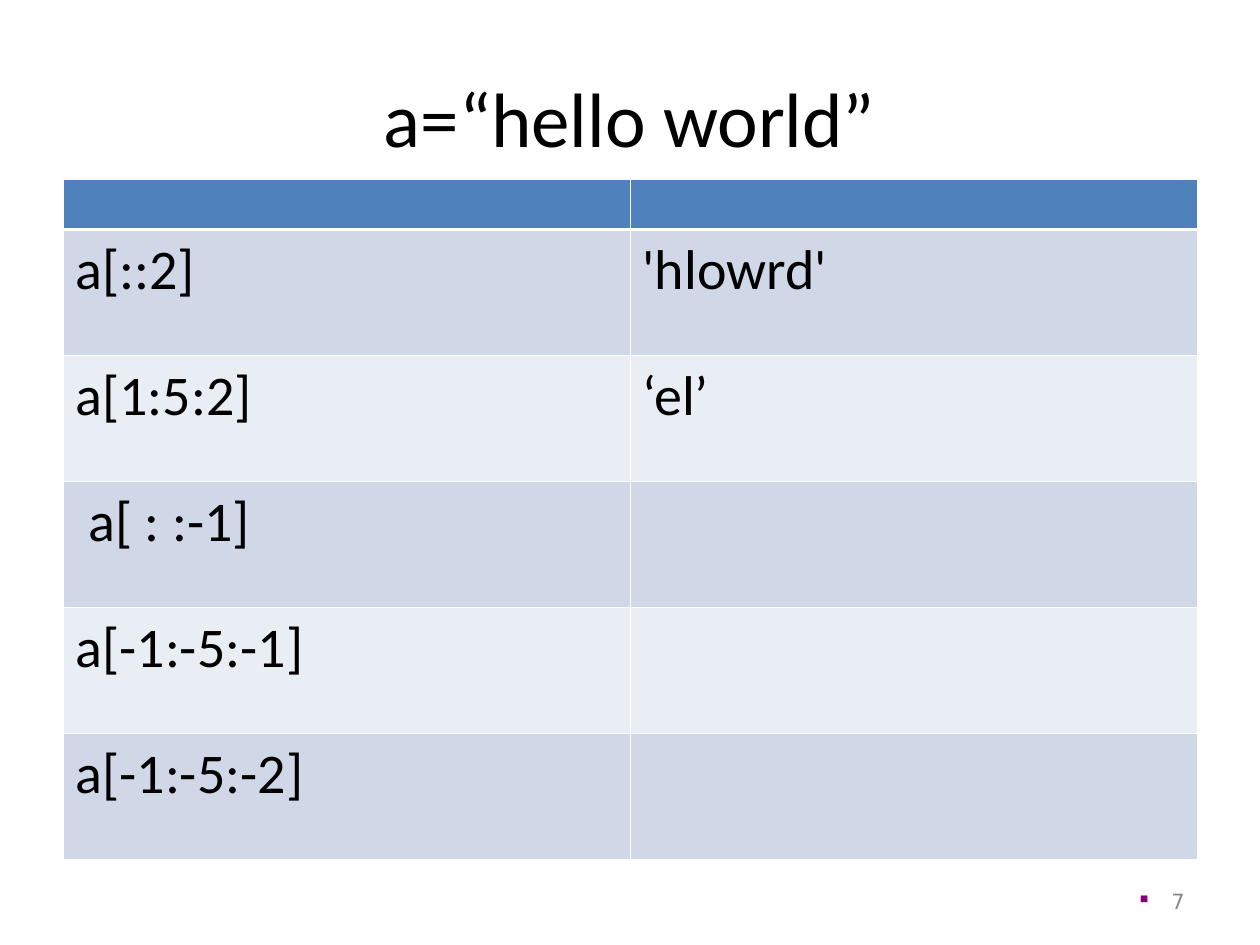
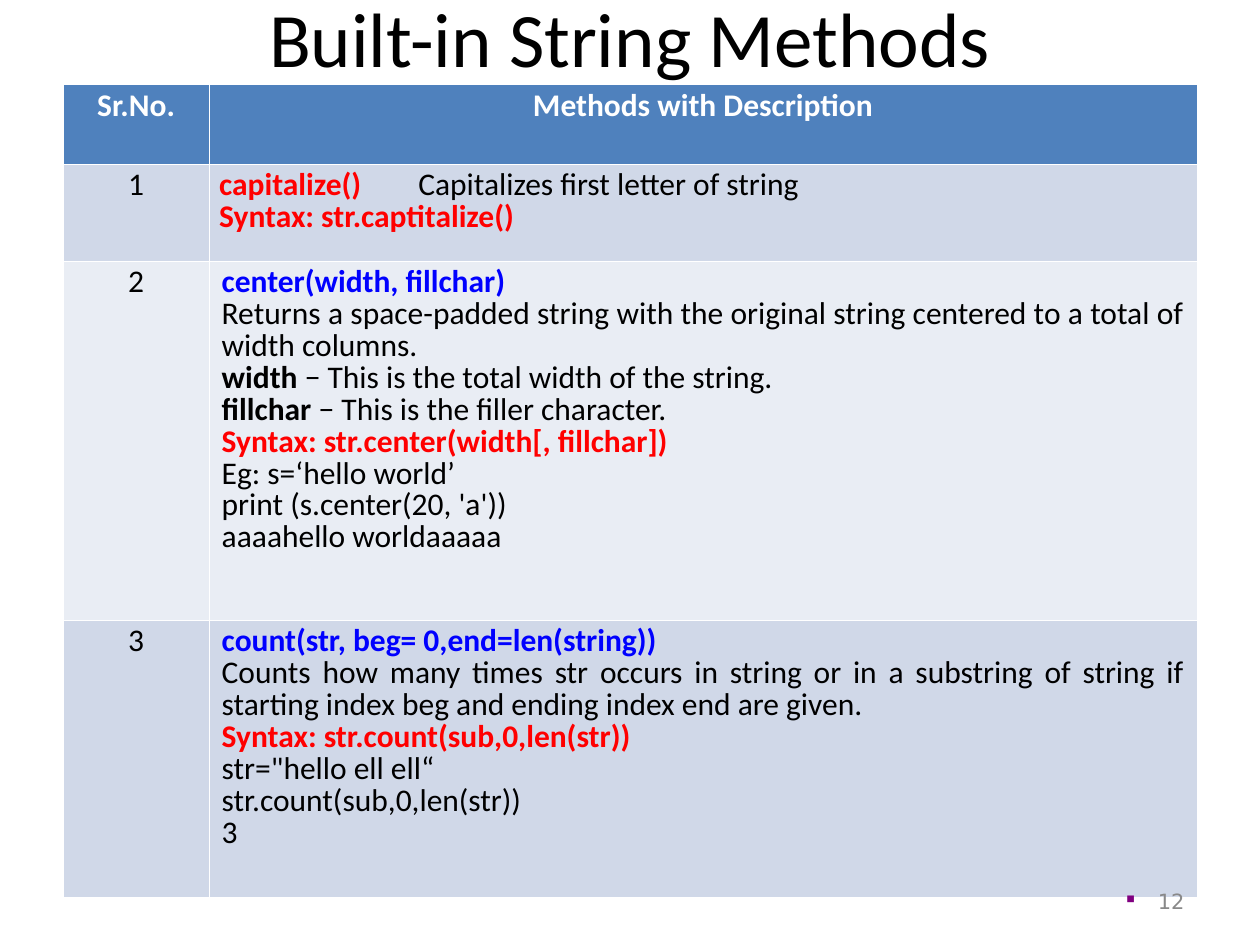
import dataclasses

import pptx
import pptx.dml.color
import pptx.enum.text
import pptx.oxml
import pptx.oxml.ns
import pptx.util

RGBColor = pptx.dml.color.RGBColor
ALIGN = pptx.enum.text.PP_ALIGN
MIDDLE = pptx.enum.text.MSO_ANCHOR.MIDDLE

# Grid: the 10 by 7.5 inch slide has 20 columns and 15 rows
GRID_STEP = 0.5
COLUMNS, ROWS = 20, 15
TABLE_LEFT = 1

BLACK = RGBColor(0x00, 0x00, 0x00)
WHITE = RGBColor(0xFF, 0xFF, 0xFF)
GREY = RGBColor(0x89, 0x89, 0x89)
RED = RGBColor(0xFF, 0x00, 0x00)
BLUE = RGBColor(0x00, 0x00, 0xFF)
PURPLE = RGBColor(0x80, 0x00, 0x80)
HEADER_FILL = RGBColor(0x4F, 0x81, 0xBD)
BAND_FILLS = (RGBColor(0xE9, 0xED, 0xF4), RGBColor(0xD0, 0xD8, 0xE8))

TEXT_FONT = "Calibri"
NUMBER_FONT = "DejaVu Sans"


@dataclasses.dataclass
class Span:
    text: str
    color: RGBColor = BLACK
    bold: bool = False


@dataclasses.dataclass
class Line:
    spans: list
    align: ALIGN = ALIGN.LEFT


@dataclasses.dataclass
class TableStyle:
    size: int
    border: float
    header_border: float
    spacing: float = 1.0


def grid(steps):
    return pptx.util.Inches(steps * GRID_STEP)


def line(text, color=BLACK, bold=False, align=ALIGN.LEFT):
    return Line([Span(text, color, bold)], align)


def method(text):
    return line(text, BLUE, True)


def syntax(text):
    return line("Syntax: " + text, RED, True, ALIGN.JUSTIFY)


def justified(text):
    return line(text, align=ALIGN.JUSTIFY)


def centered(text):
    return [line(text, align=ALIGN.CENTER)]


def heading(text):
    return [line(text, WHITE, True, ALIGN.CENTER)]


def term(name, meaning):
    return Line([Span(name, bold=True), Span(" − " + meaning)])


def add_element(parent, tag, inner="", index=None, **attributes):
    pairs = " ".join(f'{name}="{value}"' for name, value in attributes.items())
    element = pptx.oxml.parse_xml(
        f'<a:{tag} {pptx.oxml.ns.nsdecls("a")} {pairs}>{inner}</a:{tag}>')
    parent.insert(len(parent) if index is None else index, element)


def set_font(font, name, size, color, bold=False):
    font.name = name
    font.size = pptx.util.Pt(size)
    font.color.rgb = color
    font.bold = bold


def add_box(page, left, top, width, height):
    box = page.shapes.add_textbox(grid(left), grid(top), grid(width), grid(height))
    box.text_frame.word_wrap = True
    box.text_frame.vertical_anchor = MIDDLE
    return box.text_frame.paragraphs[0]


def add_title(page, text, *place):
    para = add_box(page, *place)
    para.text = text
    para.alignment = ALIGN.CENTER
    set_font(para.font, TEXT_FONT, 44, BLACK)


def add_page_number(page, number):
    para = add_box(page, 14.34, 13.9, 4.66, 0.8)
    para.text = str(number)
    para.alignment = ALIGN.RIGHT
    properties = para._p.get_or_add_pPr()
    hanging = pptx.util.Inches(0.25)
    properties.set("marL", str(hanging))
    properties.set("indent", str(-hanging))
    add_element(properties, "buClr", f'<a:srgbClr val="{PURPLE}"/>')
    add_element(properties, "buSzPct", val=55000)
    add_element(properties, "buChar", char="■")
    set_font(para.font, NUMBER_FONT, 12, GREY)


def write_line(para, content, style):
    para.alignment = content.align
    if style.spacing != 1:
        para.line_spacing = style.spacing
    if any("\t" in span.text for span in content.spans):
        add_element(para._p.get_or_add_pPr(), "tabLst",
                    f'<a:tab pos="{pptx.util.Inches(1.58)}" algn="l"/>')
    first = content.spans[0]
    set_font(para.font, TEXT_FONT, style.size, first.color, first.bold)
    for span in content.spans:
        run = para.add_run()
        run.text = span.text
        if span != first:
            run.font.color.rgb = span.color
            run.font.bold = span.bold


def set_borders(cell, row, style):
    widths = dict.fromkeys(("lnL", "lnR", "lnT", "lnB"), style.border)
    if row < 2:
        widths["lnT" if row else "lnB"] = style.header_border
    fill = f'<a:solidFill><a:srgbClr val="{WHITE}"/></a:solidFill>'
    for index, (side, width) in enumerate(widths.items()):
        add_element(cell._tc.get_or_add_tcPr(), side, fill, index,
                    w=pptx.util.Pt(width))


def add_table(page, top, widths, heights, rows, style, margins=None):
    """Each cell is a list of lines; margins maps a row to its side margin."""
    table = page.shapes.add_table(
        len(rows), len(widths), grid(TABLE_LEFT), grid(top),
        grid(sum(widths)), grid(sum(heights))).table
    table.first_row = table.horz_banding = False
    for column, width in zip(table.columns, widths):
        column.width = grid(width)
    for row, (height, contents) in enumerate(zip(heights, rows)):
        table.rows[row].height = grid(height)
        for column, lines in enumerate(contents):
            cell = table.cell(row, column)
            cell.fill.solid()
            cell.fill.fore_color.rgb = BAND_FILLS[row % 2] if row else HEADER_FILL
            side = pptx.util.Inches((margins or {}).get(row, 0.1))
            cell.margin_left = cell.margin_right = side
            set_borders(cell, row, style)
            for index, content in enumerate(lines):
                frame = cell.text_frame
                para = frame.add_paragraph() if index else frame.paragraphs[0]
                write_line(para, content, style)


def add_slicing_page(deck):
    page = deck.slides.add_slide(deck.slide_layouts[6])
    add_title(page, "a=“hello world”", 1, 0.6, 18, 2.5)
    slices = [("a[::2]", "'hlowrd'"), ("a[1:5:2]", "‘el’"), (" a[ : :-1]", ""),
              ("a[-1:-5:-1]", ""), ("a[-1:-5:-2]", "")]
    rows = [[[], []]]
    rows += [[[line(text)] if text else [] for text in pair] for pair in slices]
    add_table(page, 2.84, [9, 9], [0.8] + [2] * len(slices), rows,
              TableStyle(size=32, border=0.45, header_border=1.47))
    add_page_number(page, 7)


def add_methods_page(deck):
    page = deck.slides.add_slide(deck.slide_layouts[6])
    add_title(page, "Built-in String Methods", 0, -0.5, COLUMNS, 2.16)
    capitalize = [
        Line([Span("capitalize()\t", RED, True),
              Span("Capitalizes first letter of string")], ALIGN.JUSTIFY),
        syntax("str.captitalize()"),
    ]
    center = [
        method("center(width, fillchar)"),
        justified("Returns a space-padded string with the original string "
                  "centered to a total of width columns."),
        term("width", "This is the total width of the string."),
        term("fillchar", "This is the filler character."),
        syntax("str.center(width[, fillchar])"),
        line("Eg: s=‘hello world’"),
        line("print (s.center(20, 'a'))"),
        line("aaaahello worldaaaaa"),
    ]
    count = [
        method("count(str, beg= 0,end=len(string))"),
        justified("Counts how many times str occurs in string or in a substring "
                  "of string if starting index beg and ending index end are given."),
        syntax("str.count(sub,0,len(str))"),
        justified('str="hello ell ell“'),
        justified("str.count(sub,0,len(str))"),
        justified("3"),
    ]
    rows = [[heading("Sr.No."), heading("Methods with Description")]]
    rows += [[centered(str(number)), lines]
             for number, lines in enumerate((capitalize, center, count), 1)]
    add_table(page, 1.34, [2.32, 15.68], [1.26, 1.54, 5.7, 4.4], rows,
              TableStyle(size=18, border=0.11, header_border=0.34, spacing=0.83),
              margins={0: 0.08, 1: 0.08})
    add_page_number(page, 12)


def main():
    deck = pptx.Presentation()
    deck.slide_width, deck.slide_height = grid(COLUMNS), grid(ROWS)
    add_slicing_page(deck)
    add_methods_page(deck)
    deck.save("out.pptx")


if __name__ == "__main__":
    main()
